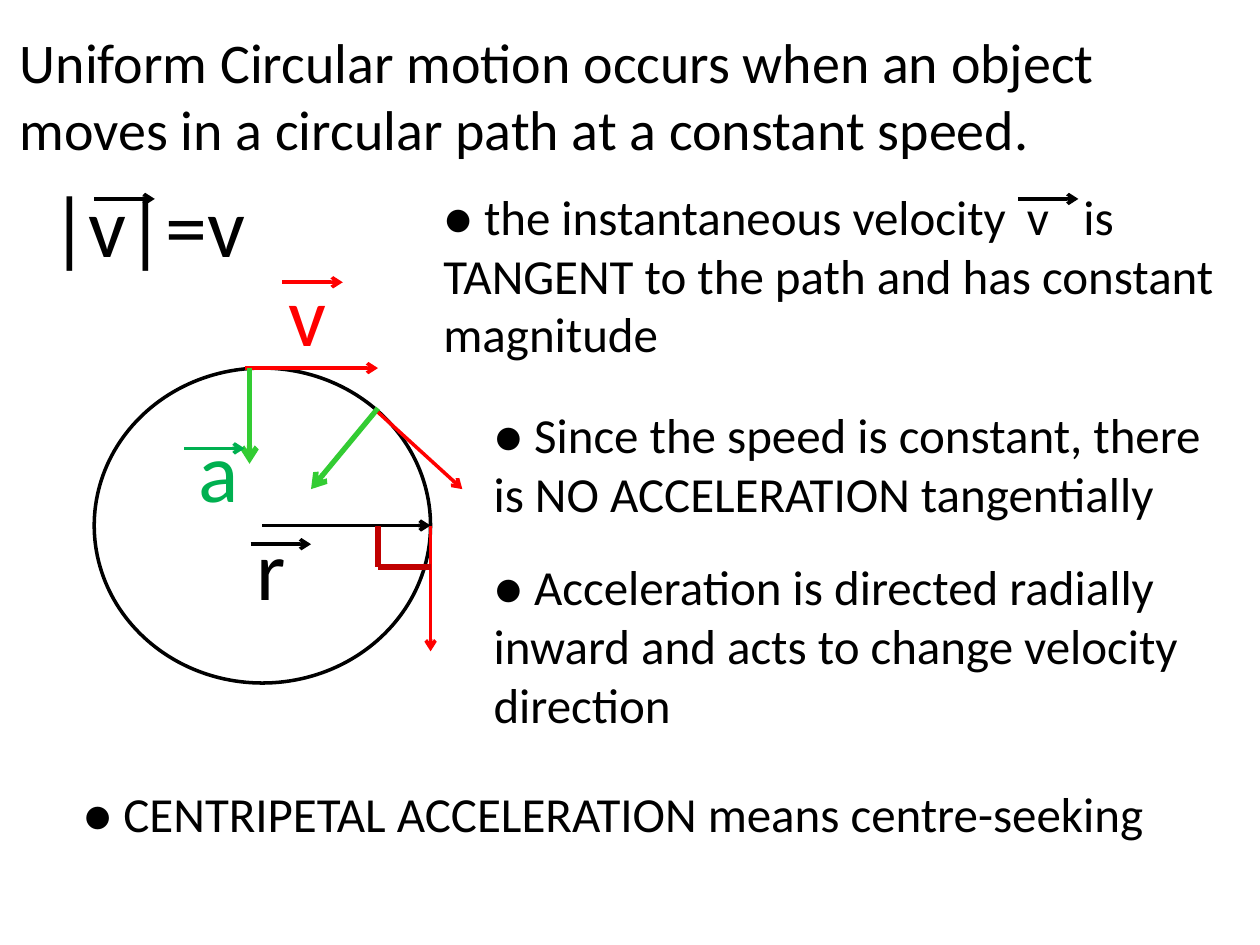
from lxml import etree
from pptx import Presentation
from pptx.dml.color import RGBColor
from pptx.enum.shapes import MSO_CONNECTOR, MSO_SHAPE
from pptx.enum.text import MSO_AUTO_SIZE
from pptx.oxml.ns import qn
from pptx.util import Cm, Pt

STRAIGHT = MSO_CONNECTOR.STRAIGHT
OVAL = MSO_SHAPE.OVAL
FIT_SHAPE = MSO_AUTO_SIZE.SHAPE_TO_FIT_TEXT

THEME = {
    "font": "Calibri",
    "title": 32, "symbol": 48, "body": 28,
    "thin": 2, "thick": 3,
    "black": "000000", "red": "FF0000", "dark red": "C00000",
    "green": "00B050", "lime": "33CC33",
}

# Content: lengths in centimetres
# left, top, width, height, size, colour, paragraphs
TEXTS = [
    (0.15, 0.43, 24.18, 3.0, "title", "black",
     ["Uniform Circular motion occurs when an object moves in a circular path "
      "at a constant speed."]),
    (0.76, 3.38, 4.8, 2.31, "symbol", "black", ["|v|=v"]),
    (4.93, 10.29, 2.31, 2.31, "symbol", "black", ["r"]),
    (3.76, 8.31, 2.31, 2.31, "symbol", "green", ["a"]),
    (5.56, 5.16, 2.31, 2.31, "symbol", "red", ["v"]),
    (8.69, 3.63, 16.08, 3.84, "body", "black",
     ["● the instantaneous velocity\tv\tis",
      "TANGENT to the path and has constant magnitude"]),
    (9.7, 8.03, 16.08, 2.64, "body", "black",
     ["● Since the speed is constant, there", "is NO ACCELERATION tangentially"]),
    (9.7, 11.1, 16.08, 3.84, "body", "black",
     ["● Acceleration is directed radially inward and acts to change velocity "
      "direction"]),
    (1.42, 15.67, 22.89, 1.45, "body", "black",
     ["● CENTRIPETAL ACCELERATION means centre-seeking"]),
]
TAB_STOPS = [11.76, 12.9]

# Circular path and the points derived from it
PATH_LEFT, PATH_TOP, PATH_WIDTH, PATH_HEIGHT = 1.9, 7.42, 6.78, 6.35
CENTRE_X = PATH_LEFT + PATH_WIDTH / 2
CENTRE_Y = PATH_TOP + PATH_HEIGHT / 2
RIGHT = PATH_LEFT + PATH_WIDTH
CORNER_X, CORNER_Y = 7.62, 11.43

# start, end, colour, weight, arrowhead
LINES = [
    ((CENTRE_X, CENTRE_Y), (RIGHT, CENTRE_Y), "black", "thin", True),
    ((4.93, PATH_TOP), (CORNER_X, PATH_TOP), "red", "thin", True),
    ((RIGHT, CENTRE_Y), (RIGHT, 13.13), "red", "thin", True),
    ((CORNER_X, CENTRE_Y), (CORNER_X, CORNER_Y), "dark red", "thick", False),
    ((CORNER_X, CORNER_Y), (RIGHT, CORNER_Y), "dark red", "thick", False),
    ((5.03, PATH_TOP), (5.03, 9.35), "lime", "thick", True),
    ((CORNER_X, 8.23), (6.27, 9.86), "lime", "thick", True),
    ((CORNER_X, 8.31), (9.32, 9.86), "red", "thin", True),
]

# Vector bars above symbols: left, top, colour
BAR_LENGTH = 1.22
BARS = [(1.9, 4.01, "black"), (20.52, 4.01, "black"), (5.69, 5.69, "red"),
        (3.71, 9.04, "green"), (5.05, 10.97, "black")]
LINES += [((x, y), (x + BAR_LENGTH, y), colour, "thin", True)
          for x, y, colour in BARS]


def rgb(name):
    return RGBColor.from_string(THEME[name])


def set_attributes(target, values):
    for name, value in values.items():
        setattr(target, name, value)


def add_tab_stops(paragraph):
    tab_list = etree.SubElement(paragraph._p.get_or_add_pPr(), qn("a:tabLst"))
    for position in TAB_STOPS:
        etree.SubElement(tab_list, qn("a:tab"), pos=str(int(Cm(position))), algn="l")


def add_text(slide, left, top, width, height, size, colour, paragraphs):
    frame = slide.shapes.add_textbox(Cm(left), Cm(top), Cm(width), Cm(height)).text_frame
    set_attributes(frame, {"word_wrap": True, "auto_size": FIT_SHAPE})
    for index, text in enumerate(paragraphs):
        paragraph = frame.add_paragraph() if index else frame.paragraphs[0]
        if "\t" in text:
            add_tab_stops(paragraph)
        run = paragraph.add_run()
        run.text = text
        set_attributes(run.font, {"name": THEME["font"], "size": Pt(THEME[size])})
        run.font.color.rgb = rgb(colour)


def add_line(slide, start, end, colour, weight, arrowhead):
    points = [Cm(value) for value in start + end]
    connector = slide.shapes.add_connector(STRAIGHT, *points)
    connector.line.color.rgb = rgb(colour)
    connector.line.width = Pt(THEME[weight])
    if arrowhead:
        etree.SubElement(connector.line._get_or_add_ln(), qn("a:tailEnd"), type="arrow")
    etree.SubElement(connector._element.spPr, qn("a:effectLst"))


def add_circular_path(slide):
    bounds = [Cm(v) for v in (PATH_LEFT, PATH_TOP, PATH_WIDTH, PATH_HEIGHT)]
    circle = slide.shapes.add_shape(OVAL, *bounds)
    circle.shadow.inherit = False
    circle.fill.background()
    circle.line.color.rgb = rgb("black")
    circle.line.width = Pt(THEME["thin"])


def main():
    presentation = Presentation()
    set_attributes(presentation, {"slide_width": Cm(25.4), "slide_height": Cm(19.05)})
    slide = presentation.slides.add_slide(presentation.slide_layouts[6])

    # Diagram
    add_circular_path(slide)
    for line in LINES:
        add_line(slide, *line)

    # Statements and vector symbols
    for text in TEXTS:
        add_text(slide, *text)

    presentation.save("out.pptx")


if __name__ == "__main__":
    main()
